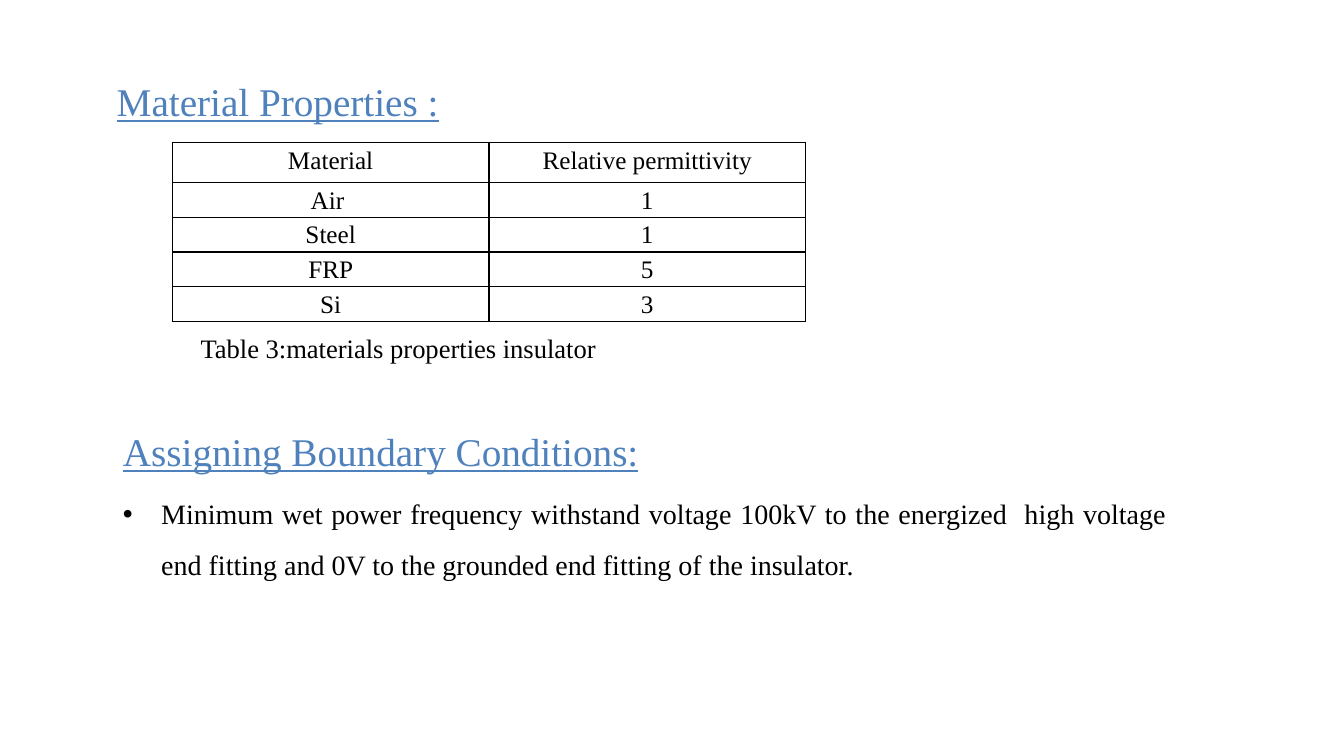
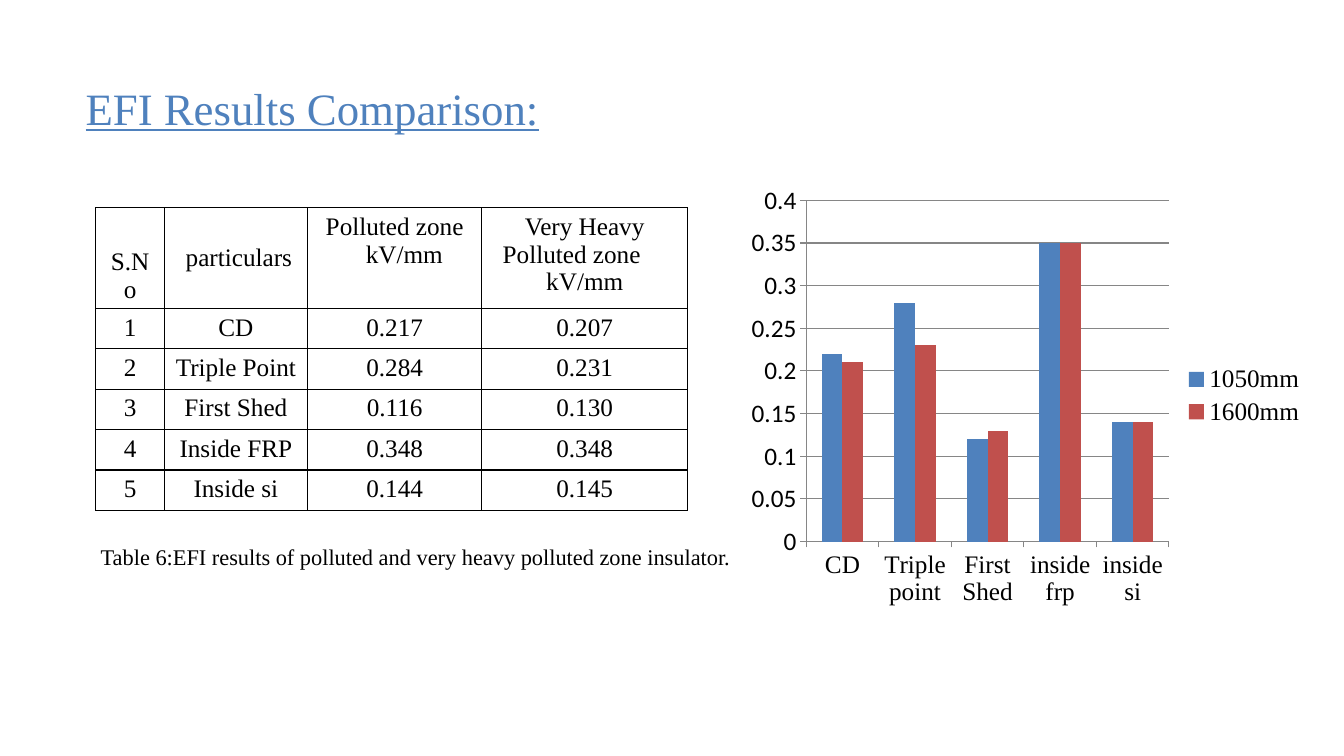
from lxml.etree import SubElement
from pptx import Presentation
from pptx.chart.data import CategoryChartData
from pptx.dml.color import RGBColor
from pptx.enum.chart import XL_CHART_TYPE, XL_LEGEND_POSITION, XL_TICK_MARK
from pptx.enum.text import MSO_ANCHOR, PP_ALIGN
from pptx.oxml.ns import qn
from pptx.util import Inches, Pt

COLORS = {"heading": "4F81BD", "text": "000000", "border": "000000",
          "axis": "868686", "first": "4F81BD", "second": "C0504D"}
SERIF, SANS = "Times New Roman", "Calibri"


class Deck:
    """Holds the shared style and the slide being built."""

    def __init__(self):
        self.presentation = Presentation()
        self.presentation.slide_width = Inches(13.33)
        self.presentation.slide_height = Inches(7.5)
        self.slide = None

    def new_slide(self):
        self.slide = self.presentation.slides.add_slide(self.presentation.slide_layouts[6])

    def set_font(self, font, color="text", **values):
        for name, value in ({"name": SERIF, "size": Pt(18)} | values).items():
            setattr(font, name, value)
        font.color.rgb = RGBColor.from_string(COLORS[color])

    def set_text_font(self, paragraph, color="text", **values):
        for run in paragraph.runs:
            self.set_font(run.font, color, **values)

    def set_heading_font(self, paragraph, size):
        self.set_text_font(paragraph, "heading", size=Pt(size), underline=True)

    def text_box(self, left, top, width, height, text):
        shape = self.slide.shapes.add_textbox(*map(Inches, (left, top, width, height)))
        shape.text_frame.word_wrap = True
        shape.text_frame.text = text
        return shape.text_frame

    def title(self, left, height, text, size):
        frame = self.text_box(left, 0.71, 10.6, height, text)
        frame.vertical_anchor = MSO_ANCHOR.MIDDLE
        self.set_heading_font(frame.paragraphs[0], size)

    def caption(self, left, top, text, size):
        frame = self.text_box(left, top, 6.89, 0.5, text)
        self.set_text_font(frame.paragraphs[0], size=Pt(size))

    def section(self, left, top, heading, bullet):
        frame = self.text_box(left, top, 10.55, 1.9, heading)
        self.set_heading_font(frame.paragraphs[0], 28)
        paragraph = frame.add_paragraph()
        paragraph.text = bullet
        for name, value in {"alignment": PP_ALIGN.JUSTIFY, "line_spacing": 1.5,
                            "space_before": Pt(4)}.items():
            setattr(paragraph, name, value)
        properties = paragraph._p.get_or_add_pPr()
        properties.set("marL", str(Inches(0.38)))
        properties.set("indent", str(-Inches(0.38)))
        SubElement(properties, qn("a:buFont"), typeface="Arial")
        SubElement(properties, qn("a:buChar"), char="•")
        self.set_text_font(paragraph, size=Pt(20))

    def style_cell(self, cell, line_spacing=None, **values):
        for name, value in values.items():
            setattr(cell, name, value)
        for paragraph in cell.text_frame.paragraphs:
            paragraph.alignment = PP_ALIGN.CENTER
            if line_spacing:
                paragraph.line_spacing = line_spacing
            self.set_text_font(paragraph)
        properties = cell._tc.get_or_add_tcPr()
        for side in ("a:lnL", "a:lnR", "a:lnT", "a:lnB"):
            line = SubElement(properties, qn(side), w=str(Pt(1)))
            fill = SubElement(line, qn("a:solidFill"))
            SubElement(fill, qn("a:srgbClr"), val=COLORS["border"])
        cell.fill.background()

    def table(self, left, top, widths, heights, rows, **body_format):
        size = map(Inches, (left, top, sum(widths), sum(heights)))
        table = self.slide.shapes.add_table(len(rows), len(widths), *size).table
        table.first_row = table.horz_banding = False
        for column, width in zip(table.columns, widths):
            column.width = Inches(width)
        for index, (row, height, texts) in enumerate(zip(table.rows, heights, rows)):
            row.height = Inches(height)
            for cell, text in zip(row.cells, texts):
                cell.text = text
                self.style_cell(cell, **(body_format if index else {}))
        return table

    def column_chart(self, left, top, width, height, categories, series):
        data = CategoryChartData()
        data.categories = categories
        for name, values in series.items():
            data.add_series(name, [round(value, 2) for value in values])
        chart = self.slide.shapes.add_chart(
            XL_CHART_TYPE.COLUMN_CLUSTERED,
            *map(Inches, (left, top, width, height)), data).chart
        chart.has_title = False
        self.set_font(chart.font, name=SANS)
        # Columns
        plot = chart.plots[0]
        plot.gap_width, plot.overlap, plot.vary_by_categories = 150, 0, False
        for bars, color in zip(plot.series, ("first", "second")):
            bars.format.fill.solid()
            bars.format.fill.fore_color.rgb = RGBColor.from_string(COLORS[color])
        # Axes and gridlines
        value_axis = chart.value_axis
        for name, value in {"minimum_scale": 0, "maximum_scale": 0.4, "major_unit": 0.05,
                            "has_major_gridlines": True}.items():
            setattr(value_axis, name, value)
        for axis, font_name in ((chart.category_axis, SERIF), (value_axis, SANS)):
            axis.major_tick_mark = XL_TICK_MARK.OUTSIDE
            self.set_font(axis.tick_labels.font, name=font_name)
        for line in (chart.category_axis.format.line, value_axis.format.line,
                     value_axis.major_gridlines.format.line):
            line.color.rgb = RGBColor.from_string(COLORS["axis"])
            line.width = Pt(0.75)
        # Legend
        chart.has_legend = True
        chart.legend.position = XL_LEGEND_POSITION.RIGHT
        chart.legend.include_in_layout = False
        self.set_font(chart.legend.font)


def material_slide(deck):
    deck.new_slide()
    deck.title(1.06, 0.59, "Material Properties :", 28)
    rows = [("Material", "Relative permittivity"),
            ("Air ", "1"), ("Steel", "1"), ("FRP", "5"), ("Si", "3")]
    deck.table(1.71, 1.41, [3.14] * 2, [0.28, 0.28, 0.34, 0.34, 0.28], rows,
               line_spacing=1.15, margin_left=Inches(0.07), margin_right=Inches(0.07),
               margin_top=0, margin_bottom=0)
    deck.caption(1.89, 3.24, "Table 3:materials properties insulator", 19)
    deck.section(1.12, 4.19, "Assigning Boundary Conditions:",
                 "Minimum wet power frequency withstand voltage 100kV to the energized  high "
                 "voltage end fitting and 0V to the grounded end fitting of the insulator.")


def results_slide(deck):
    deck.new_slide()
    deck.title(0.75, 0.71, "EFI Results Comparison:", 32)
    particulars = ["CD", "Triple Point", "First Shed", "Inside FRP", "Inside si"]
    polluted = [0.217, 0.284, 0.116, 0.348, 0.144]
    very_polluted = [0.207, 0.231, 0.130, 0.348, 0.145]
    rows = [("S.No", "particulars", "Polluted zone\nkV/mm",
             "Very Heavy\nPolluted zone\nkV/mm")]
    for number, (name, first, second) in enumerate(zip(particulars, polluted, very_polluted), 1):
        rows.append((str(number), name, f"{first:.3f}", f"{second:.3f}"))
    table = deck.table(0.95, 2.06, [0.68, 1.42, 1.73, 2.04], [0.93] + [0.36] * 5, rows)
    # Header alignment: column, paragraph, indented side, indent
    table.cell(0, 0).vertical_anchor = MSO_ANCHOR.BOTTOM
    table.cell(0, 1).vertical_anchor = MSO_ANCHOR.MIDDLE
    for column, index, side, indent in ((1, 0, "marL", 0.06), (2, 1, "marL", 0.19),
                                        (3, 1, "marR", 0.26), (3, 2, "marR", 0)):
        paragraph = table.cell(0, column).text_frame.paragraphs[index]
        paragraph._p.get_or_add_pPr().set(side, str(Inches(indent)))
    deck.caption(0.9, 5.34,
                 "Table 6:EFI results of polluted and very heavy polluted zone insulator.", 16)
    deck.column_chart(7.34, 1.75, 5.71, 4.35,
                      ["CD", "Triple point", "First Shed", "inside frp", "inside si"],
                      {"1050mm": polluted, "1600mm": very_polluted})


def main():
    deck = Deck()
    material_slide(deck)
    results_slide(deck)
    deck.presentation.save("out.pptx")


if __name__ == "__main__":
    main()
